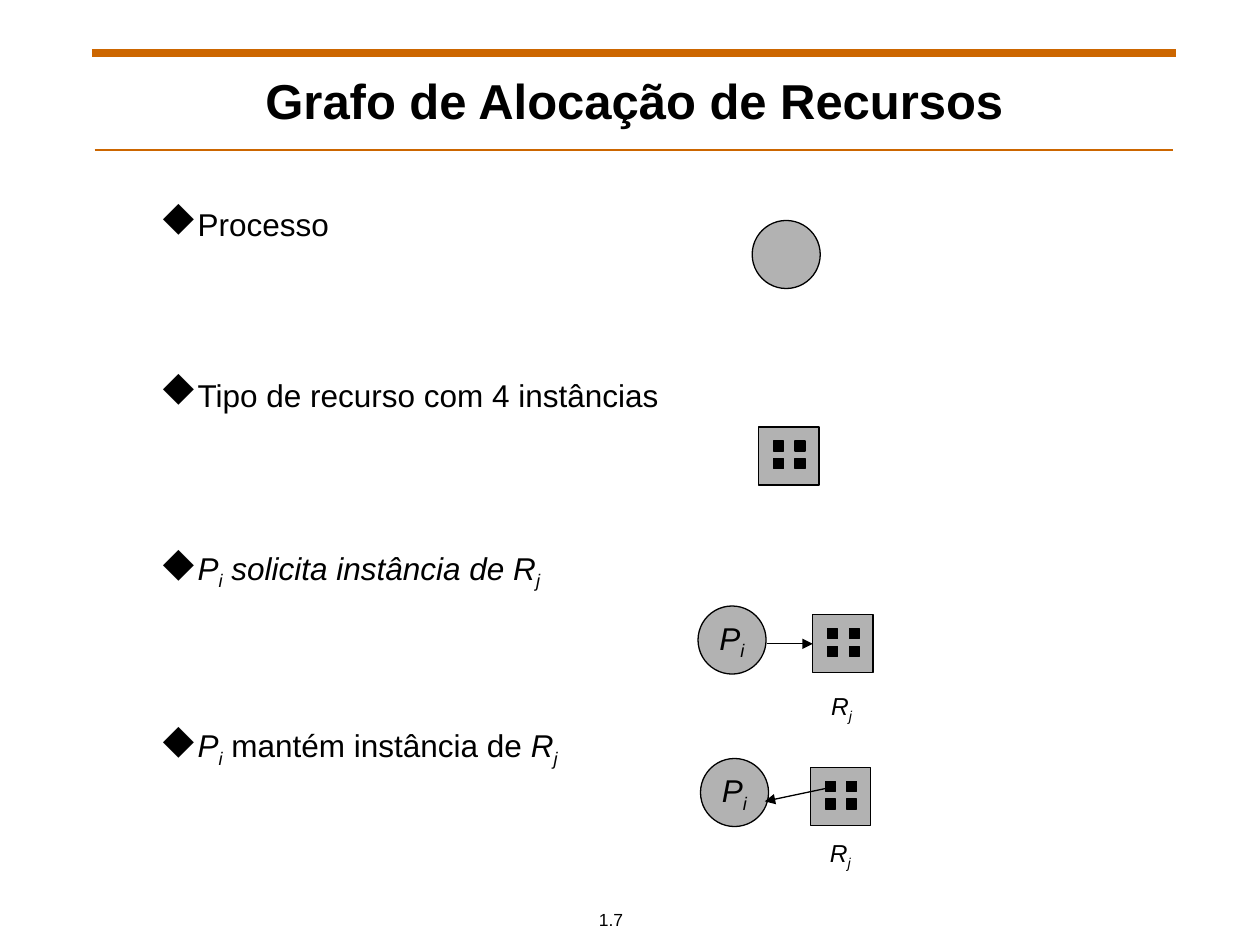
"""Build a slide on the symbols of a resource allocation graph."""
from lxml import etree
from pptx import Presentation
from pptx.dml.color import RGBColor
from pptx.enum.shapes import MSO_CONNECTOR, MSO_SHAPE
from pptx.enum.text import MSO_ANCHOR, PP_ALIGN
from pptx.oxml.ns import qn
from pptx.util import Inches, Pt

LINE = MSO_CONNECTOR.STRAIGHT
OVAL, RECT = MSO_SHAPE.OVAL, MSO_SHAPE.RECTANGLE
MIDDLE, CENTER = MSO_ANCHOR.MIDDLE, PP_ALIGN.CENTER
BLACK = RGBColor(0x00, 0x00, 0x00)
GRAY = RGBColor(0xB2, 0xB2, 0xB2)
ORANGE = RGBColor(0xCC, 0x66, 0x00)

deck = Presentation()
deck.slide_width, deck.slide_height = Inches(10), Inches(7.5)
slide = deck.slides.add_slide(deck.slide_layouts[6])
shapes = slide.shapes


def write(para, text, size, italic=False):
    """Fill a paragraph; "_" lowers the next letter, bars enclose upright text."""
    para.font.name, para.font.size = "Arial", Pt(size)
    para.font.color.rgb = BLACK
    para.font.italic = italic
    for num, part in enumerate(text.split("|")):
        first, *rest = part.split("_")
        pieces = [(first, False)]
        for tail in rest:
            pieces += [(tail[0], True), (tail[1:], False)]
        for piece, low in pieces:
            if not piece:
                continue
            run = para.add_run()
            run.text = piece
            if low:
                run.font._element.set("baseline", "-25000")
            if num % 2:
                run.font.italic = False
    return para


def draw(start, end, color, width, arrow=False):
    """Draw a straight line between two points."""
    line = shapes.add_connector(LINE, *map(Inches, start + end))
    line.line.color.rgb, line.line.width = color, Pt(width)
    if arrow:
        stroke = line.line._get_or_add_ln()
        etree.SubElement(stroke, qn("a:tailEnd"), type="triangle")
    etree.SubElement(line._element.spPr, qn("a:effectLst"))
    return line


draw((0.73, 0.42), (9.33, 0.42), ORANGE, 4.5)
draw((0.75, 1.19), (9.31, 1.19), ORANGE, 0.75)

labels = [
    ("Grafo de Alocação de Recursos", 28, 1.27, 0.54, 7.53, 0.5),
    ("R_j", 14, 6.5, 5.43, 0.36, 0.37),
    ("R_j", 14, 6.49, 6.6, 0.36, 0.37),
    ("1.7", 10, 4.38, 7.16, 0.94, 0.27),
]
for text, size, *place in labels:
    frame = shapes.add_textbox(*map(Inches, place)).text_frame
    frame.margin_left = frame.margin_right = 0
    frame.vertical_anchor = MIDDLE
    frame.word_wrap = size == 28
    para = write(frame.paragraphs[0], text, size, size == 14)
    para.alignment = CENTER
    para.font.bold = size == 28

items = [
    ("Processo", 0, False),
    ("Tipo de recurso com 4 instâncias", 76, False),
    ("P_i solicita instância de R_j", 77, True),
    ("P_i| mantém instância de |R_j", 77, True),
]
place = map(Inches, (1.17, 1.58, 7.69, 4.5))
frame = shapes.add_textbox(*place).text_frame
frame.word_wrap = True
for num, (text, gap, italic) in enumerate(items):
    para = frame.add_paragraph() if num else frame.paragraphs[0]
    para.space_before = Pt(gap)
    props = para._p.get_or_add_pPr()
    props.set("marL", str(Inches(0.25)))
    props.set("indent", str(-Inches(0.25)))
    etree.SubElement(props, qn("a:buSzPct"), val="120000")
    etree.SubElement(props, qn("a:buFont"), typeface="Wingdings", charset="2")
    etree.SubElement(props, qn("a:buChar"), char="u")
    write(para, text, 18, italic)

for left, top, text in [(5.97, 1.75, ""), (5.54, 4.81, "P_i"), (5.56, 6.02, "P_i")]:
    ring = shapes.add_shape(OVAL, *map(Inches, (left, top, 0.54, 0.54)))
    ring.shadow.inherit = False
    ring.fill.solid()
    ring.fill.fore_color.rgb = GRAY
    ring.line.color.rgb, ring.line.width = BLACK, Pt(0.75)
    if text:
        frame = ring.text_frame
        frame.word_wrap = False
        frame.vertical_anchor = MIDDLE
        write(frame.paragraphs[0], text, 18, True).alignment = CENTER

dots = [(x, y, 0.08, 0.08, BLACK) for y in (0.11, 0.25) for x in (0.12, 0.29)]
nodes = []
for left, top in [(6.02, 3.39), (6.45, 4.88), (6.43, 6.09)]:
    group = shapes.add_group_shape()
    for x, y, wide, high, color in [(0, 0, 0.48, 0.46, GRAY)] + dots:
        place = map(Inches, (left + x, top + y, wide, high))
        box = group.shapes.add_shape(RECT, *place)
        box.shadow.inherit = False
        box.fill.solid()
        box.fill.fore_color.rgb = color
        box.line.color.rgb, box.line.width = BLACK, Pt(0.75)
    nodes.append(group.shapes[0])

ask = draw((6.09, 5.11), (6.45, 5.11), BLACK, 0.75, True)
ask.end_connect(nodes[1], 1)
draw((6.59, 6.25), (6.07, 6.36), BLACK, 0.75, True)

deck.save("out.pptx")
